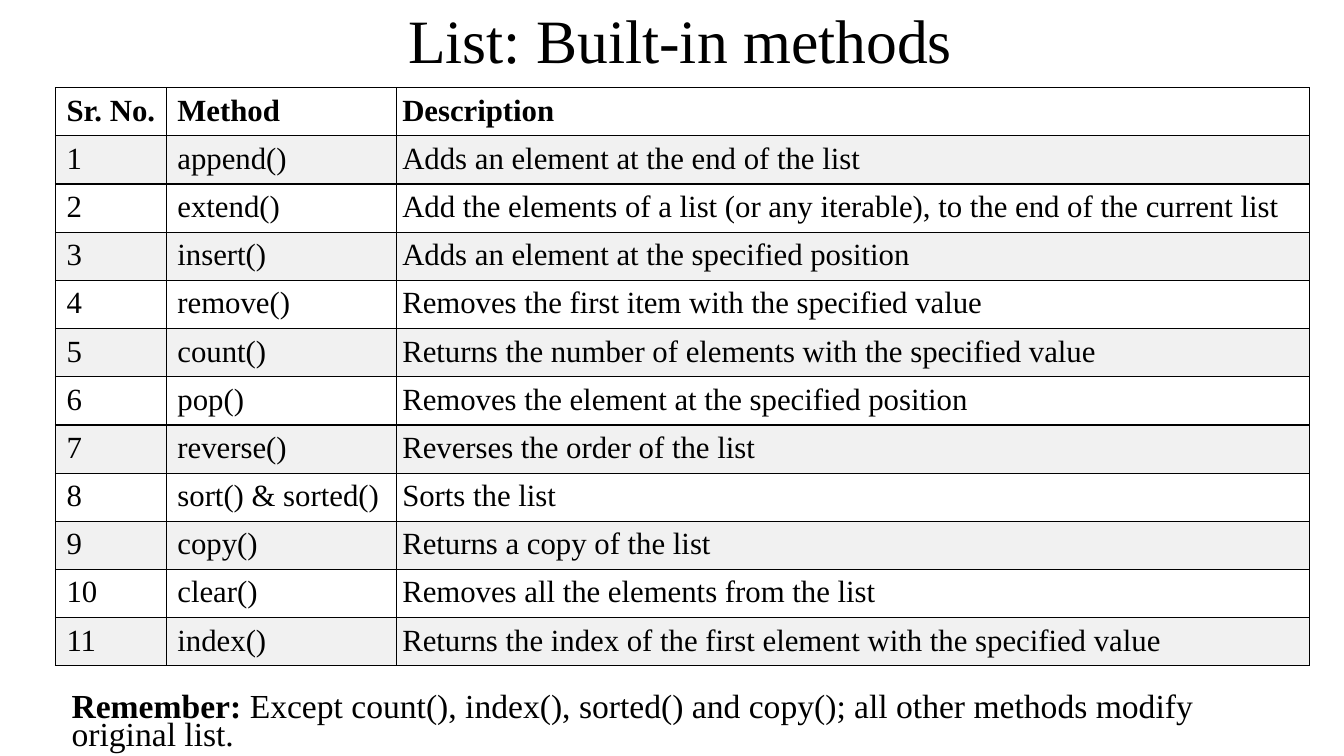
from lxml import etree
from pptx import Presentation
from pptx.dml.color import RGBColor
from pptx.enum.text import MSO_ANCHOR, MSO_AUTO_SIZE, PP_ALIGN
from pptx.oxml.ns import qn
from pptx.util import Inches, Pt

BLACK = RGBColor(0x00, 0x00, 0x00)
WHITE = RGBColor(0xFF, 0xFF, 0xFF)
LIGHT_GREY = RGBColor(0xF1, 0xF1, 0xF1)
MIDDLE, TOP = MSO_ANCHOR.MIDDLE, MSO_ANCHOR.TOP
CENTER, LEFT = PP_ALIGN.CENTER, PP_ALIGN.LEFT
NO_AUTOFIT = MSO_AUTO_SIZE.NONE
FONT_NAME = "Times New Roman"

TITLE_BOX = (1, 0.02, 11.5, 0.82)
TABLE_BOX = (0.55, 0.87, 12.43, 5.74)
REMINDER_BOX = (0.61, 6.85, 12.28, 0.65)
COLUMN_WIDTHS = (1.1, 2.28, 9.06)
COLUMN_INSETS = (0.11, 0.11, 0.06)
CELL_INSET = 0.06

HEADINGS = ("Sr. No.", "Method", "Description")
METHODS = (
    ("append()", "Adds an element at the end of the list"),
    ("extend()", "Add the elements of a list (or any iterable), to the end of the current list"),
    ("insert()", "Adds an element at the specified position"),
    ("remove()", "Removes the first item with the specified value"),
    ("count()", "Returns the number of elements with the specified value"),
    ("pop()", "Removes the element at the specified position"),
    ("reverse()", "Reverses the order of the list"),
    ("sort() & sorted()", "Sorts the list"),
    ("copy()", "Returns a copy of the list"),
    ("clear()", "Removes all the elements from the list"),
    ("index()", "Returns the index of the first element with the specified value"),
)
REMINDER = (
    ("Remember:", True),
    (" Except count(), index(), sorted() and copy(); all other methods modify original list.", False),
)


def set_attributes(target, values):
    """Set every attribute named in a dict of format values."""
    for name, value in values.items():
        setattr(target, name, value)


def add_run(paragraph, text, size, bold=False):
    """Add a run of black text to a paragraph."""
    run = paragraph.add_run()
    run.text = text
    set_attributes(run.font, {"name": FONT_NAME, "size": Pt(size), "bold": bold})
    run.font.color.rgb = BLACK


def place_placeholder(shape, box, anchor, alignment, line_spacing):
    """Move a placeholder into its box and return its formatted paragraph."""
    left, top, width, height = map(Inches, box)
    set_attributes(shape, {"left": left, "top": top, "width": width, "height": height})
    text_frame = shape.text_frame
    set_attributes(text_frame, {
        "word_wrap": True, "auto_size": NO_AUTOFIT, "vertical_anchor": anchor,
    })
    paragraph = text_frame.paragraphs[0]
    set_attributes(paragraph, {
        "alignment": alignment, "line_spacing": line_spacing, "space_before": Pt(0),
    })
    return paragraph


def add_title(slide, box):
    """Fill the title placeholder."""
    paragraph = place_placeholder(slide.shapes.title, box, MIDDLE, CENTER, 0.9)
    add_run(paragraph, "List: Built-in methods", 44)


def add_reminder(slide, box):
    """Fill the body placeholder with the unbulleted reminder."""
    paragraph = place_placeholder(slide.placeholders[1], box, TOP, LEFT, 0.7)
    properties = paragraph._p.get_or_add_pPr()
    properties.set("marL", "0")
    properties.set("indent", "0")
    etree.SubElement(properties, qn("a:buNone"))
    for text, bold in REMINDER:
        add_run(paragraph, text, 24, bold)


def set_borders(cell):
    """Draw a thin black line on the four sides of a cell."""
    properties = cell._tc.get_or_add_tcPr()
    for position, side in enumerate(("a:lnL", "a:lnR", "a:lnT", "a:lnB")):
        line = etree.Element(qn(side), w=str(Pt(1)))
        fill = etree.SubElement(line, qn("a:solidFill"))
        etree.SubElement(fill, qn("a:srgbClr"), val=str(BLACK))
        properties.insert(position, line)


def fill_cell(cell, text, left_inset, color, bold):
    """Write and format one table cell."""
    inset = Inches(CELL_INSET)
    set_attributes(cell, {
        "margin_left": Inches(left_inset), "margin_right": inset,
        "margin_top": inset, "margin_bottom": inset, "vertical_anchor": TOP,
    })
    cell.fill.solid()
    cell.fill.fore_color.rgb = color
    set_borders(cell)
    add_run(cell.text_frame.paragraphs[0], text, 22, bold)


def add_methods_table(slide, box):
    """Add the table of list methods with alternating row fills."""
    rows = [HEADINGS]
    rows += [(str(number), *method) for number, method in enumerate(METHODS, 1)]
    table = slide.shapes.add_table(len(rows), len(HEADINGS), *map(Inches, box)).table
    set_attributes(table, {"first_row": False, "horz_banding": False})
    for column, width in zip(table.columns, COLUMN_WIDTHS):
        column.width = Inches(width)
    for row_index, row in enumerate(rows):
        color = LIGHT_GREY if row_index % 2 else WHITE
        for column_index, text in enumerate(row):
            cell = table.cell(row_index, column_index)
            fill_cell(cell, text, COLUMN_INSETS[column_index], color, row_index == 0)


def main():
    """Build and save the presentation."""
    presentation = Presentation()
    presentation.slide_width = Inches(13.33)
    presentation.slide_height = Inches(7.5)
    slide = presentation.slides.add_slide(presentation.slide_layouts[1])
    add_title(slide, TITLE_BOX)
    add_reminder(slide, REMINDER_BOX)
    add_methods_table(slide, TABLE_BOX)
    presentation.save("out.pptx")


if __name__ == "__main__":
    main()
